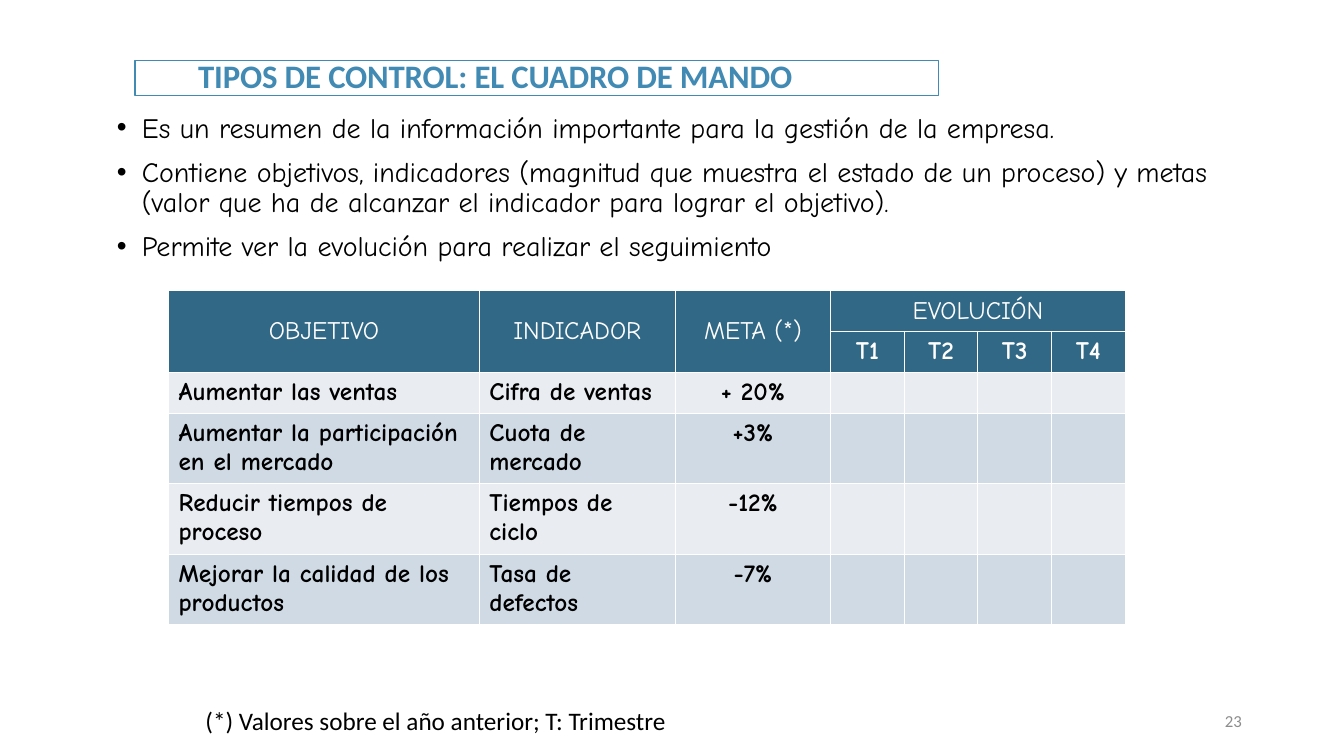
import pptx
import pptx.util
import pptx.dml.color
import pptx.enum.shapes
import pptx.enum.text
import pptx.oxml
import pptx.oxml.ns

Pt = pptx.util.Pt
ALIGN = pptx.enum.text.PP_ALIGN
ANCHOR = pptx.enum.text.MSO_ANCHOR
COLORS = {"white": "FFFFFF", "accent": "418AB3", "header": "316886", "light": "E9EDF2",
          "dark": "CFDAE5", "black": "000000", "gray": "8C8C8C"}
BODY_FONT, PLAIN_FONT = "Comic Neue", "Calibri"
NAMESPACE = pptx.oxml.ns.nsdecls("a")

POINTS = [
    "Es un resumen de la información importante para la gestión de la empresa.",
    "Contiene objetivos, indicadores (magnitud que muestra el estado de un proceso) y metas "
    "(valor que ha de alcanzar el indicador para lograr el objetivo).",
    "Permite ver la evolución para realizar el seguimiento",
]
HEADINGS = ["OBJETIVO", "INDICADOR", "META (*)", "EVOLUCIÓN"]
QUARTERS = ["T1", "T2", "T3", "T4"]
GOALS = [
    ["Aumentar las ventas", "Cifra de ventas", "+ 20%"],
    ["Aumentar la participación en el mercado", "Cuota de mercado", "+3%"],
    ["Reducir tiempos de proceso", "Tiempos de ciclo", "-12%"],
    ["Mejorar la calidad de los productos", "Tasa de defectos", "-7%"],
]
COLUMN_WIDTHS = [222, 140, 111] + [52.6] * 4
ROW_HEIGHTS = [29.2, 29.2, 29.2, 50.4, 49, 50.4]


def color(name):
    return pptx.dml.color.RGBColor.from_string(COLORS[name])


def style(para, font, size, color_name, bold=False, align=ALIGN.LEFT):
    para.alignment = align
    for span in para.runs:
        span.font.name = font
        span.font.size = Pt(size)
        span.font.bold = bold
        span.font.color.rgb = color(color_name)


def add_text(page, box, text, size, color_name, align=ALIGN.LEFT, anchor=ANCHOR.TOP, wrap=True):
    frame = page.shapes.add_textbox(*map(Pt, box)).text_frame
    frame.word_wrap = wrap
    frame.vertical_anchor = anchor
    frame.text = text
    style(frame.paragraphs[0], PLAIN_FONT, size, color_name, align=align)


def add_title(page, box, text):
    shape = page.shapes.add_shape(pptx.enum.shapes.MSO_SHAPE.RECTANGLE, *map(Pt, box))
    shape.shadow.inherit = False
    shape.fill.solid()
    shape.fill.fore_color.rgb = color("white")
    shape.line.color.rgb = color("accent")
    shape.line.width = Pt(1)
    frame = shape.text_frame
    frame.word_wrap = True
    frame.vertical_anchor = ANCHOR.MIDDLE
    frame.text = text
    para = frame.paragraphs[0]
    para.line_spacing = 0.9
    para._p.get_or_add_pPr().set("marL", str(Pt(38)))
    style(para, PLAIN_FONT, 23.4, "accent", bold=True)
    para.runs[0]._r.get_or_add_rPr().set("spc", "-10")


def add_bullets(page, box, points):
    frame = page.shapes.add_textbox(*map(Pt, box)).text_frame
    frame.word_wrap = True
    frame.text = "\n".join(points)
    for index, para in enumerate(frame.paragraphs):
        para.line_spacing = 0.9
        para.space_before = Pt(10 if index else 0)
        properties = para._p.get_or_add_pPr()
        properties.set("marL", str(Pt(18)))
        properties.set("indent", str(-Pt(18)))
        for bullet in ('buFont {} typeface="Arial"', 'buChar {} char="•"'):
            properties.append(pptx.oxml.parse_xml(f"<a:{bullet.format(NAMESPACE)}/>"))
        style(para, BODY_FONT, 20, "black")


def paint_cell(cell, fill):
    cell.fill.solid()
    cell.fill.fore_color.rgb = color(fill)
    properties = cell._tc.get_or_add_tcPr()
    for index, side in enumerate("LRTB"):
        border = pptx.oxml.parse_xml(
            f'<a:ln{side} {NAMESPACE} w="{Pt(1)}"><a:solidFill>'
            f'<a:srgbClr val="{COLORS["white"]}"/></a:solidFill></a:ln{side}>')
        properties.insert(index, border)


def write_cell(cell, text, color_name, bold, align):
    cell.text = text
    style(cell.text_frame.paragraphs[0], BODY_FONT, 18, color_name, bold, align)


def add_scorecard(page, left, top):
    rows, columns = len(ROW_HEIGHTS), len(COLUMN_WIDTHS)
    size = (sum(COLUMN_WIDTHS), sum(ROW_HEIGHTS))
    table = page.shapes.add_table(rows, columns, *map(Pt, (left, top, *size))).table
    table.first_row = table.horz_banding = False
    for column, width in zip(table.columns, COLUMN_WIDTHS):
        column.width = Pt(width)
    for row, height in zip(table.rows, ROW_HEIGHTS):
        row.height = Pt(height)
    fills = ["header"] * 2 + ["light", "dark"] * 2
    for row, fill in zip(table.rows, fills):
        for cell in row.cells:
            paint_cell(cell, fill)

    # Two-level header
    for index, heading in enumerate(HEADINGS):
        cell = table.cell(0, index)
        cell.merge(table.cell(1, index) if index < 3 else table.cell(0, columns - 1))
        cell.vertical_anchor = ANCHOR.MIDDLE
        write_cell(cell, heading, "white", False, ALIGN.CENTER)
    for index, quarter in enumerate(QUARTERS, 3):
        write_cell(table.cell(1, index), quarter, "white", True, ALIGN.CENTER)

    # Goals, with the quarters left open
    for row, goal in enumerate(GOALS, 2):
        for index, text in enumerate(goal):
            align = ALIGN.CENTER if index == 2 else ALIGN.LEFT
            write_cell(table.cell(row, index), text, "black", True, align)


def main():
    deck = pptx.Presentation()
    deck.slide_width, deck.slide_height = Pt(960), Pt(540)
    page = deck.slides.add_slide(deck.slide_layouts[6])
    # Heading and key points
    add_title(page, (96.5, 43, 573.8, 25.2), "TIPOS DE CONTROL: EL CUADRO DE MANDO")
    add_bullets(page, (76.3, 77.8, 821.5, 544.3), POINTS)
    # Scorecard
    add_scorecard(page, 120.4, 207.6)
    # Note and page number
    add_text(page, (139.7, 500.4, 347, 28.8), "(*) Valores sobre el año anterior; T: Trimestre",
             18, "black", wrap=False)
    add_text(page, (678.2, 500.4, 216, 28.8), "23", 12, "gray", ALIGN.RIGHT, ANCHOR.MIDDLE)
    deck.save("out.pptx")


if __name__ == "__main__":
    main()
